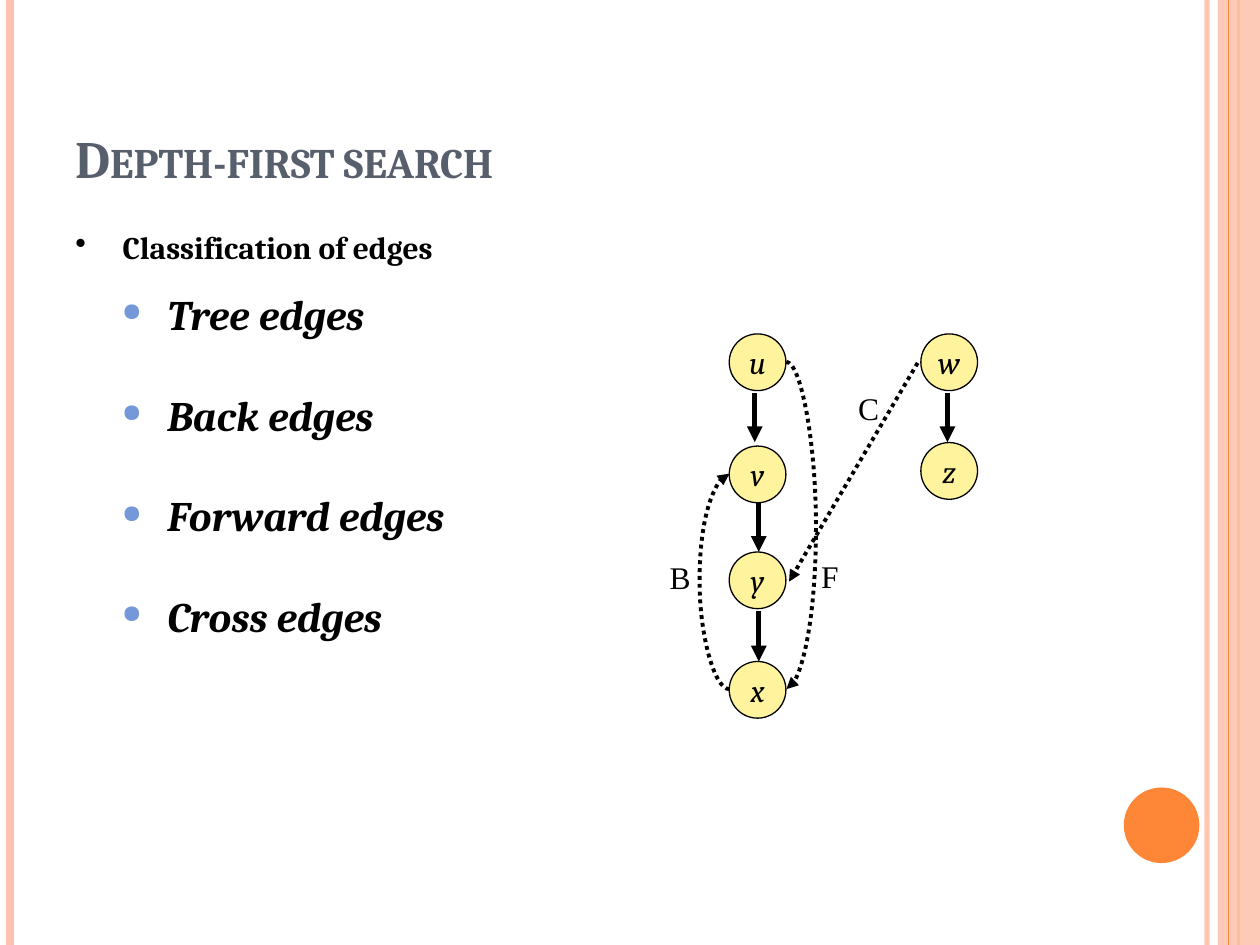
from pptx import Presentation
from pptx.dml.color import RGBColor
from pptx.enum.dml import MSO_LINE
from pptx.enum.shapes import MSO_CONNECTOR, MSO_SHAPE
from pptx.enum.text import MSO_ANCHOR, PP_ALIGN
from pptx.oxml.ns import qn
from pptx.util import Pt
from lxml.etree import SubElement


def paint(shape, fill, color, opacity=100):
    fill.solid()
    fill.fore_color.rgb = RGBColor.from_string(color)
    if opacity < 100:
        for tint in shape._element.spPr.iter(qn("a:srgbClr")):
            SubElement(tint, qn("a:alpha"), val=str(opacity * 1000))


def stroke(kind, points, color, width, opacity=100, arrow=False, dotted=False):
    connector = slide.shapes.add_connector(kind, *[Pt(value) for value in points])
    paint(connector, connector.line.fill, color, opacity)
    connector.line.width = Pt(width)
    if dotted:
        connector.line.dash_style = MSO_LINE.ROUND_DOT
    properties = connector._element.spPr
    if arrow:
        SubElement(properties.find(qn("a:ln")), qn("a:tailEnd"), type="triangle")
    SubElement(properties, qn("a:effectLst"))
    return properties


deck = Presentation()
deck.slide_width, deck.slide_height = Pt(720), Pt(540)
slide = deck.slides.add_slide(deck.slide_layouts[6])
texts = []

for x, color, width, opacity in [
    (689.8, "FEC3AE", 3, 93),
    (5.8, "FEC3AE", 4.5, 100),
    (707.8, "FE8637", 1.5, 100),
]:
    stroke(MSO_CONNECTOR.STRAIGHT, (x, 0, x, 540), color, width, opacity)

side_band = slide.shapes.add_shape(MSO_SHAPE.RECTANGLE, Pt(696), 0, Pt(24), Pt(540))
paint(side_band, side_band.fill, "FEC3AE", 87)
stroke(MSO_CONNECTOR.STRAIGHT, (702, 0, 702, 540), "FE8637", 0.75)
corner_disc = slide.shapes.add_shape(MSO_SHAPE.OVAL, Pt(642.2), Pt(450), Pt(43.2), Pt(43.2))
paint(corner_disc, corner_disc.fill, "FE8637")
for ornament in (side_band, corner_disc):
    ornament.shadow.inherit = False
    ornament.line.fill.background()

heading = slide.shapes.add_textbox(Pt(36), Pt(21.6), Pt(648), Pt(90)).text_frame
heading.word_wrap = True
heading.vertical_anchor = MSO_ANCHOR.BOTTOM
heading_format = {"size": Pt(30), "name": "Cambria", "bold": True}
texts.append((heading.paragraphs[0], "Depth-first search", "575F6D", heading_format))

vertex_format = {"size": Pt(18), "name": "Cambria", "italic": True}
for letter, left, top in [
    ("u", 416.7, 190.8),
    ("v", 416.7, 254.9),
    ("y", 416.7, 315.4),
    ("x", 416.7, 378),
    ("w", 526.2, 190.8),
    ("z", 526.2, 252.9),
]:
    vertex = slide.shapes.add_shape(MSO_SHAPE.OVAL, Pt(left), Pt(top), Pt(32.4), Pt(32.4))
    vertex.shadow.inherit = False
    paint(vertex, vertex.fill, "FFF39D")
    paint(vertex, vertex.line.fill, "000000")
    vertex.line.width = Pt(0.75)
    vertex.text_frame.word_wrap = False
    vertex.text_frame.vertical_anchor = MSO_ANCHOR.MIDDLE
    vertex.text_frame.paragraphs[0].alignment = PP_ALIGN.CENTER
    texts.append((vertex.text_frame.paragraphs[0], letter, "000000", vertex_format))

for x, top, bottom in [
    (431.3, 224.6, 252.7),
    (433.6, 287.3, 315.4),
    (433.6, 349.2, 378),
    (541.4, 224.6, 252.7),
]:
    stroke(MSO_CONNECTOR.STRAIGHT, (x, top, x, bottom), "000000", 3, arrow=True)

for points, bulge, turn in [
    ((416.9, 270.7, 416.78, 393.8), -150, 180),
    ((449.3, 206.8, 449.42, 393.8), 150, 0),
]:
    arc = stroke(MSO_CONNECTOR.CURVE, points, "000000", 2.25, arrow=True, dotted=True)
    arc.find(qn("a:xfrm")).set("rot", str(turn * 60000))
    SubElement(arc.find(qn("a:prstGeom")).find(qn("a:avLst")), qn("a:gd"),
               name="adj1", fmla=f"val {bulge * 100000}")

stroke(MSO_CONNECTOR.STRAIGHT, (524.4, 207.4, 450.9, 332.4), "000000", 2.25,
       arrow=True, dotted=True)

edge_format = {"size": Pt(18), "name": "Times New Roman"}
for letter, left, top in [("B", 375.6, 315.4), ("F", 462.2, 314.9), ("C", 483.3, 218.9)]:
    edge_label = slide.shapes.add_textbox(Pt(left), Pt(top), Pt(29.5), Pt(28.8)).text_frame
    edge_label.word_wrap = True
    texts.append((edge_label.paragraphs[0], letter, "000000", edge_format))

outline = slide.shapes.add_textbox(Pt(36), Pt(126), Pt(648), Pt(356.4)).text_frame
outline.word_wrap = True
topic_format = {"size": Pt(18), "name": "Cambria", "bold": True}
kind_format = {"size": Pt(24), "name": "Cambria", "bold": True, "italic": True}
for order, item in enumerate(
    ["Classification of edges", "Tree edges", "Back edges", "Forward edges", "Cross edges"]
):
    entry = outline.add_paragraph() if order else outline.paragraphs[0]
    entry.level = min(order, 1)
    entry.line_spacing = Pt(29 if order else 22.6)
    if order:
        entry.space_before = Pt(12.4 if order == 1 else 28.6)
    layout = entry._p.get_or_add_pPr()
    layout.set("marL", str(Pt(52.6 if order else 27)))
    layout.set("indent", str(Pt(-26 if order else -27)))
    if order:
        SubElement(SubElement(layout, qn("a:buClr")), qn("a:srgbClr"), val="7598D9")
        SubElement(layout, qn("a:buSzPct"), val="60000")
    SubElement(layout, qn("a:buChar"), char="●" if order else "•")
    texts.append((entry, item, "000000", kind_format if order else topic_format))

for paragraph, wording, color, format_values in texts:
    run = paragraph.add_run()
    run.text = wording
    run.font.color.rgb = RGBColor.from_string(color)
    for attribute, value in format_values.items():
        setattr(run.font, attribute, value)

heading.paragraphs[0].runs[0]._r.get_or_add_rPr().set("cap", "small")

deck.save("out.pptx")
